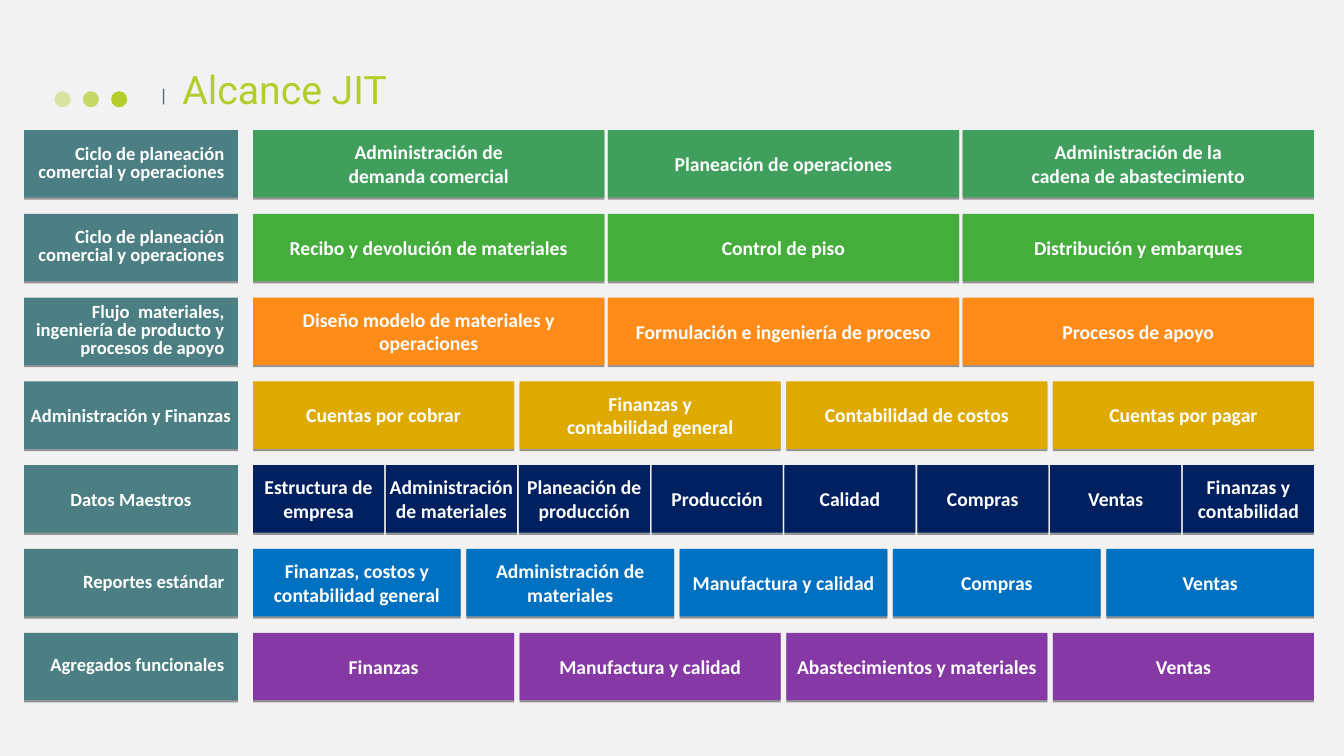
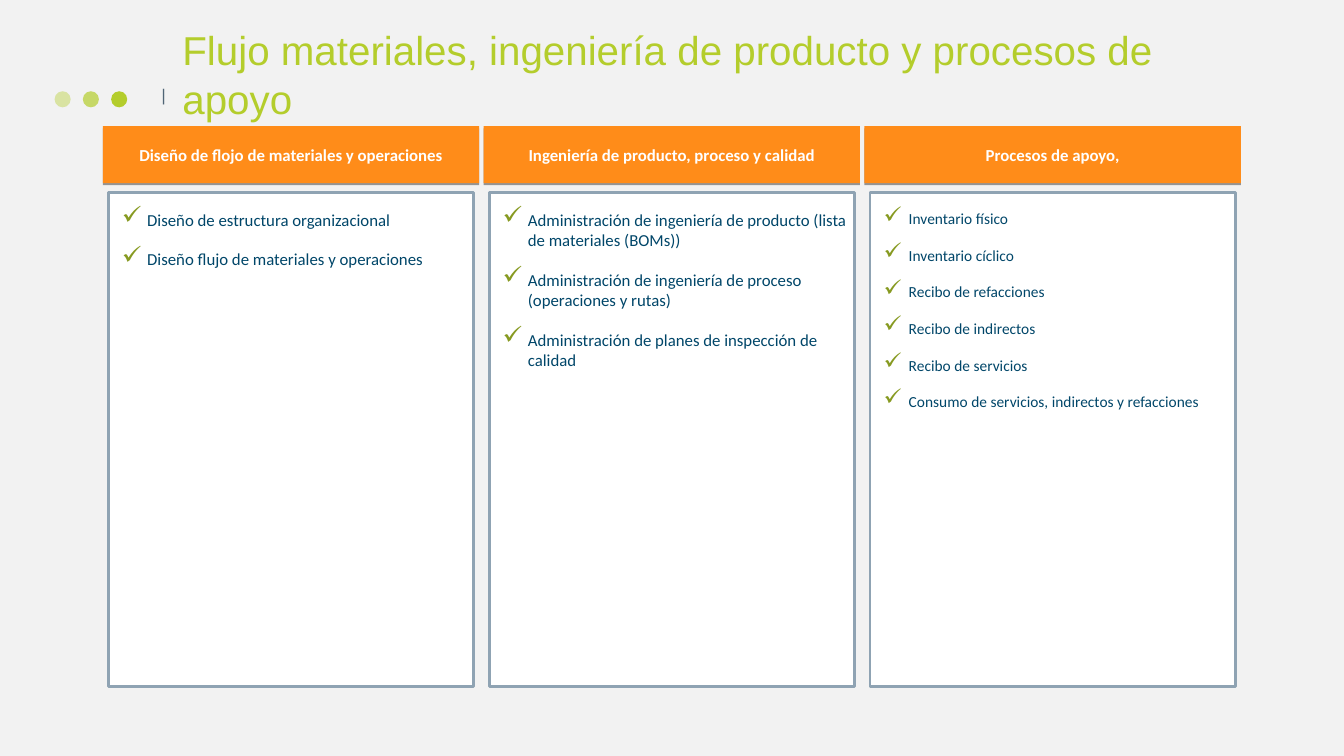
from lxml import etree
from pptx import Presentation
from pptx.dml.color import RGBColor
from pptx.enum import shapes, text
from pptx.oxml.ns import qn
from pptx.util import Pt

hue = RGBColor.from_string
LIME, TEAL, ORANGE, WHITE = "B4CD2C", "4C7F83", "FF8C19", "FFFFFF"
RECT, OVAL = shapes.MSO_SHAPE.RECTANGLE, shapes.MSO_SHAPE.OVAL
LEFT, MID, RIGHT = text.PP_ALIGN.LEFT, text.PP_ALIGN.CENTER, text.PP_ALIGN.RIGHT
TOP, CENTER, BOTTOM = (text.MSO_ANCHOR.TOP, text.MSO_ANCHOR.MIDDLE,
                       text.MSO_ANCHOR.BOTTOM)


def box(slide, x, y, w, h, fill, kind=RECT, edge=None, shade=False):
    """Add a filled shape, with an optional outline or hard drop shadow."""
    shape = slide.shapes.add_shape(kind, Pt(x), Pt(y), Pt(w), Pt(h))
    shape.shadow.inherit = False
    shape.fill.solid()
    shape.fill.fore_color.rgb = hue(fill)
    if edge:
        shape.line.color.rgb = hue(edge)
        shape.line.width = Pt(2)
    else:
        shape.line.fill.background()
    if shade:
        effect = shape.element.spPr.find(qn("a:effectLst"))
        drop = etree.SubElement(effect, qn("a:outerShdw"), blurRad="0",
                                dist=str(Pt(1.6)), dir="5400000",
                                algn="t", rotWithShape="0")
        tone = etree.SubElement(drop, qn("a:srgbClr"), val="000000")
        etree.SubElement(tone, qn("a:alpha"), val="38000")
    return shape


def write(shape, words, size, ink=WHITE, face="Calibri", bold=False, align=MID,
          anchor=CENTER, pad=(0.7, 0.7, 0.7, 0.7), wrap=True, pitch=None):
    """Fill a shape with one paragraph per line and return the paragraphs."""
    frame = shape.text_frame
    frame.text = words
    frame.word_wrap = wrap
    frame.vertical_anchor = anchor
    (frame.margin_left, frame.margin_top,
     frame.margin_right, frame.margin_bottom) = map(Pt, pad)
    for para in frame.paragraphs:
        para.alignment = align
        para.line_spacing = pitch
        para.font.size = Pt(size)
        para.font.name = face
        para.font.bold = bold
        para.font.color.rgb = hue(ink)
    return frame.paragraphs


deck = Presentation()
deck.slide_width, deck.slide_height = Pt(960), Pt(540)
back = deck.slide_master.background.fill
back.solid()
back.fore_color.rgb = hue("F2F2F2")

# Shared head: three dots, a bar and the title
heads = [
    ("Alcance JIT", "Roboto", 28, 39.6, 44, 574.6),
    ("Flujo materiales, ingeniería de producto y procesos de apoyo",
     "Arial", 28.8, 23.8, 67, 755.3),
]
pages = []
for title, face, size, top, high, wide in heads:
    page = deck.slides.add_slide(deck.slide_layouts[6])
    pages.append(page)
    for i, alpha in enumerate((40, 70, 100)):
        dot = box(page, 39 + 20.2 * i, 65.2, 11.5, 11.5, LIME, OVAL)
        if alpha < 100:
            tone = dot.element.spPr.find(".//" + qn("a:srgbClr"))
            etree.SubElement(tone, qn("a:alpha"), val=str(alpha * 1000))
    bar = page.shapes.add_textbox(Pt(115.2), Pt(67), Pt(5.8), Pt(8))
    write(bar, "|", 13.3, "506576", "Roboto", align=LEFT, anchor=TOP,
          pad=(0, 0, 0, 0), wrap=False, pitch=0.5)
    name = page.shapes.add_textbox(Pt(123.2), Pt(top), Pt(wide), Pt(high))
    write(name, title, size, LIME, face, align=LEFT, anchor=BOTTOM,
          pad=(7.2, 3.6, 7.2, 3.6))

scope, flow = pages

# Slide 1: a label and a row of equal cells for each area
# label, label alignment, cell colour, gap between cells, cells
rows = [
    ("Ciclo de planeación comercial y operaciones", RIGHT, "419F5D", 2.5,
     ["Administración de\ndemanda comercial", "Planeación de operaciones",
      "Administración de la\ncadena de abastecimiento"]),
    ("Ciclo de planeación comercial y operaciones", RIGHT, "44AD3B", 2.5,
     ["Recibo y devolución de materiales", "Control de piso",
      "Distribución y embarques"]),
    ("Flujo  materiales, ingeniería de producto y procesos de apoyo", RIGHT,
     ORANGE, 2.5,
     ["Diseño modelo de materiales y operaciones",
      "Formulación e ingeniería de proceso", "Procesos de apoyo"]),
    ("Administración y Finanzas", MID, "DEA900", 4,
     ["Cuentas por cobrar", "Finanzas y\ncontabilidad general",
      "Contabilidad de costos", "Cuentas por pagar"]),
    ("Datos Maestros", MID, "002060", 1.3,
     ["Estructura de empresa", "Administración\nde materiales",
      "Planeación de producción", "Producción", "Calidad", "Compras",
      "Ventas", "Finanzas y contabilidad"]),
    ("Reportes estándar", RIGHT, "0070C0", 4,
     ["Finanzas, costos y contabilidad general",
      "Administración de materiales", "Manufactura y calidad", "Compras",
      "Ventas"]),
    ("Agregados funcionales", RIGHT, "8639A5", 4,
     ["Finanzas", "Manufactura y calidad", "Abastecimientos y materiales",
      "Ventas"]),
]
start, span, high = 180.8, 757.8, 48.2
for i, (label, side, fill, gap, cells) in enumerate(rows):
    y = 92.9 + 59.85 * i
    tag = box(scope, 17.2, y, 152.7, high, TEAL, shade=True)
    right = side == RIGHT
    write(tag, label, 13.3, bold=True, align=side,
          pad=(1.4, 1.4, 9.5 if right else 1.4, 1.4),
          pitch=0.8 if right else None)
    wide = (span - gap * (len(cells) - 1)) / len(cells)
    for j, words in enumerate(cells):
        cell = box(scope, start + j * (wide + gap), y, wide, high, fill,
                   shade=True)
        write(cell, words, 14, bold=True)

# Slide 2: three columns with a header and a checked list
cols = [
    ("Diseño de flojo de materiales y operaciones", 12,
     ["Diseño de estructura organizacional",
      "Diseño flujo de materiales y operaciones"]),
    ("Ingeniería de producto, proceso y calidad", 12,
     ["Administración de ingeniería de producto (lista de materiales (BOMs))",
      "Administración de ingeniería de proceso (operaciones y rutas)",
      "Administración de planes de inspección de calidad"]),
    ("Procesos de apoyo,", 11,
     ["Inventario físico", "Inventario cíclico", "Recibo de refacciones",
      "Recibo de indirectos", "Recibo de servicios",
      "Consumo de servicios, indirectos y refacciones"]),
]
for i, (head, size, items) in enumerate(cols):
    x = 73.5 + 272 * i
    box(flow, x + 4, 137.5, 261, 353, WHITE, edge="8FA3B3")
    band = box(flow, x, 90.2, 268.8, 40.6, ORANGE, shade=True)
    write(band, head, 12, bold=True)
    area = flow.shapes.add_textbox(Pt(x + 10), Pt(149.6), Pt(250), Pt(147))
    paras = write(area, "\n".join(items), size, "004669", align=LEFT,
                  anchor=TOP, pad=(3.6, 0, 0.7, 0))
    for j, para in enumerate(paras):
        para.space_before = Pt(round(1.17 * size, 1) if j else 0)
        props = para._p.get_or_add_pPr()
        props.set("marL", str(Pt(18)))
        props.set("indent", str(-Pt(18)))
        # Bullet parts go after the spacing and before the font defaults
        tint = etree.Element(qn("a:buClr"))
        etree.SubElement(tint, qn("a:srgbClr"), val="879A21")
        scale = etree.Element(qn("a:buSzPct"), val="150000")
        mark = etree.Element(qn("a:buChar"), char="✓")
        for part in (tint, scale, mark):
            props.find(qn("a:defRPr")).addprevious(part)

deck.save("out.pptx")
